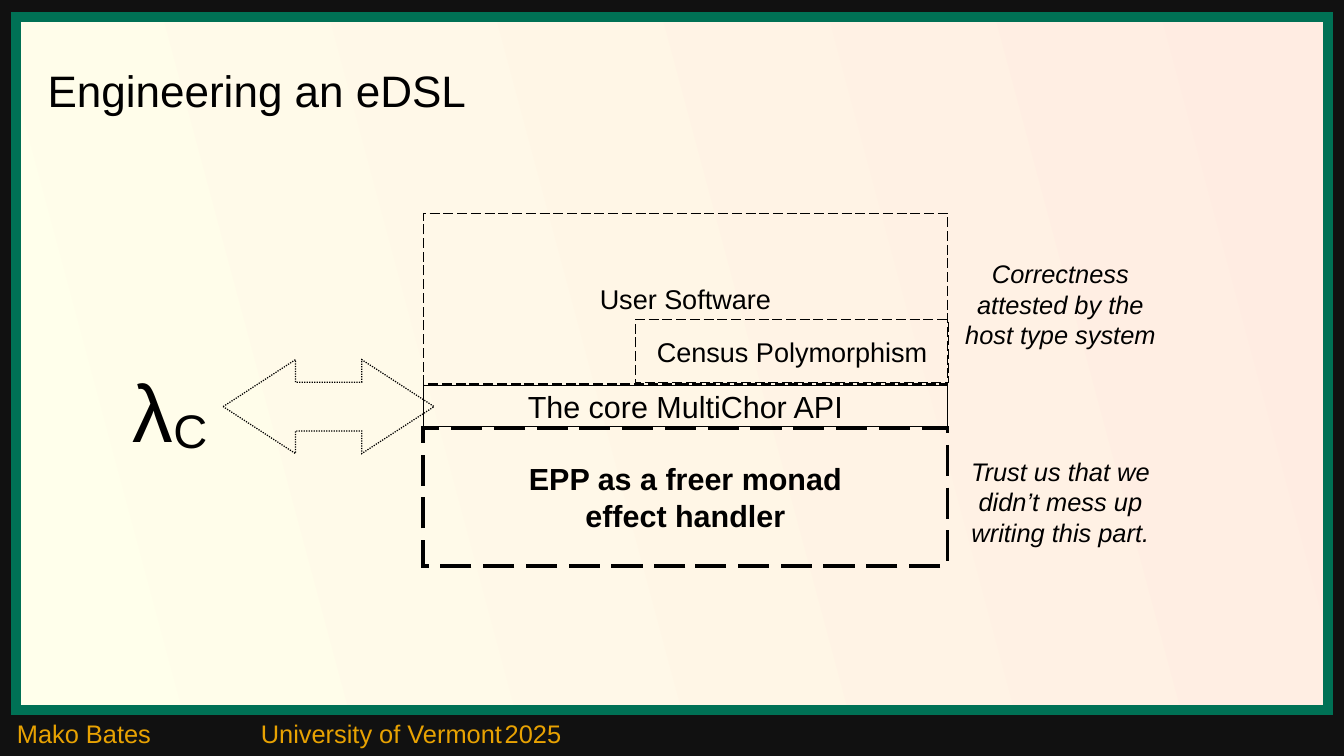
"""Build the slide on engineering an embedded choreography language."""
from dataclasses import dataclass

from lxml import etree
from pptx import Presentation
from pptx.dml.color import RGBColor
from pptx.enum.dml import MSO_LINE
from pptx.enum.shapes import MSO_SHAPE
from pptx.enum.text import MSO_ANCHOR, PP_ALIGN
from pptx.oxml.ns import qn
from pptx.shapes.autoshape import Shape
from pptx.slide import Slide
from pptx.util import Inches, Pt

RECTANGLE = MSO_SHAPE.RECTANGLE
DOUBLE_ARROW = MSO_SHAPE.LEFT_RIGHT_ARROW
LONG_DASH = MSO_LINE.LONG_DASH
DOTS = MSO_LINE.ROUND_DOT
MIDDLE = MSO_ANCHOR.MIDDLE
TOP = MSO_ANCHOR.TOP
CENTER = PP_ALIGN.CENTER
LEFT = PP_ALIGN.LEFT


@dataclass(frozen=True)
class Theme:
    font: str = "Arial"
    ink: RGBColor = RGBColor(0x00, 0x00, 0x00)
    surround: RGBColor = RGBColor(0x11, 0x11, 0x11)
    frame: RGBColor = RGBColor(0x00, 0x71, 0x55)
    footer: RGBColor = RGBColor(0xE8, 0xA2, 0x02)
    panel_start: RGBColor = RGBColor(0xFF, 0xFF, 0xEB)
    panel_end: RGBColor = RGBColor(0xFF, 0xEC, 0xE2)
    title_size: float = 26
    symbol_size: float = 48
    layer_size: float = 18
    software_size: float = 16
    note_size: float = 15
    hairline: float = 0
    heavy_line: float = 2.3
    frame_line: float = 6


THEME = Theme()


@dataclass(frozen=True)
class Box:
    left: float
    top: float
    width: float
    height: float


@dataclass(frozen=True)
class Label:
    lines: tuple[str, ...]
    size: float
    color: RGBColor = THEME.ink
    align: PP_ALIGN = CENTER
    anchor: MSO_ANCHOR = TOP
    bold: bool = False
    italic: bool = False
    wrap: bool = True
    margin_x: float = 0.1
    margin_y: float = 0.05


@dataclass(frozen=True)
class Layer:
    box: Box
    label: Label
    line_width: float = THEME.hairline
    dash: MSO_LINE | None = LONG_DASH


STACK_LEFT, STACK_WIDTH = 3.47, 4.3
NOTE_LEFT, NOTE_WIDTH, NOTE_HEIGHT = 7.8, 1.79, 0.79
FOOTER_TABS = (2, 4)


def layer_label(*lines: str, size: float, bold: bool = False) -> Label:
    return Label(lines, size, anchor=MIDDLE, bold=bold, wrap=False)


def note_label(text: str) -> Label:
    return Label((text,), THEME.note_size, italic=True)


LAYERS = (
    Layer(Box(STACK_LEFT, 3.16, STACK_WIDTH, 0.34),
          layer_label("The core MultiChor API", size=THEME.layer_size), dash=None),
    Layer(Box(STACK_LEFT, 3.51, STACK_WIDTH, 1.13),
          layer_label("EPP as a freer monad", "effect handler", size=THEME.layer_size, bold=True),
          THEME.heavy_line),
    Layer(Box(STACK_LEFT, 1.75, STACK_WIDTH, 1.4),
          layer_label("User Software", size=THEME.software_size)),
    Layer(Box(5.21, 2.62, 2.57, 0.52),
          layer_label("Census Polymorphism", size=THEME.software_size)),
)
NOTES = (
    (2.07, "Correctness attested by the host type system"),
    (3.69, "Trust us that we didn’t mess up writing this part."),
)


def write_label(shape: Shape, label: Label) -> None:
    frame = shape.text_frame
    frame.word_wrap = label.wrap
    frame.vertical_anchor = label.anchor
    frame.margin_left = frame.margin_right = Inches(label.margin_x)
    frame.margin_top = frame.margin_bottom = Inches(label.margin_y)
    frame.text = "\n".join(label.lines)
    for paragraph in frame.paragraphs:
        paragraph.alignment = label.align
        font = paragraph.font
        font.name = THEME.font
        font.size = Pt(label.size)
        font.bold = label.bold
        font.italic = label.italic
        font.color.rgb = label.color


def add_label(slide: Slide, box: Box, label: Label) -> Shape:
    shape = slide.shapes.add_textbox(
        Inches(box.left), Inches(box.top), Inches(box.width), Inches(box.height))
    write_label(shape, label)
    return shape


def add_outline(slide: Slide, kind: MSO_SHAPE, box: Box, color: RGBColor,
                width: float, dash: MSO_LINE | None = None) -> Shape:
    shape = slide.shapes.add_shape(
        kind, Inches(box.left), Inches(box.top), Inches(box.width), Inches(box.height))
    shape.shadow.inherit = False
    shape.fill.background()
    shape.line.color.rgb = color
    shape.line.width = Pt(width)
    if dash is not None:
        shape.line.dash_style = dash
    line = shape.line._get_or_add_ln()
    etree.SubElement(line, qn("a:miter"), lim="800000")
    return shape


def add_panel(slide: Slide) -> None:
    panel = add_outline(slide, RECTANGLE, Box(0.13, 0.14, 10.76, 5.68),
                        THEME.frame, THEME.frame_line)
    panel.fill.gradient()
    panel.fill.gradient_angle = 15
    colors = (THEME.panel_start, THEME.panel_end)
    for stop, color in zip(panel.fill.gradient_stops, colors):
        stop.color.rgb = color


def add_footer(slide: Slide) -> None:
    footer = add_label(slide, Box(0.04, 5.84, 11.02, 0.38), Label(
        ("",), THEME.note_size, THEME.footer, LEFT))
    paragraph = footer.text_frame.paragraphs[0]
    tabs = etree.Element(qn("a:tabLst"))
    for position in FOOTER_TABS:
        etree.SubElement(tabs, qn("a:tab"), pos=str(Inches(position)), algn="l")
    paragraph._p.get_or_add_pPr().insert(0, tabs)
    paragraph.add_run().text = "Mako Bates\tUniversity of Vermont\t2025"


def add_calculus(slide: Slide) -> None:
    symbol = add_label(slide, Box(0.99, 2.91, 0.83, 1.59), Label(
        ("λ",), THEME.symbol_size, align=LEFT, wrap=False))
    subscript = symbol.text_frame.paragraphs[0].add_run()
    subscript.text = "C"
    subscript.font._element.set("baseline", "-8000")
    arrow = add_outline(slide, DOUBLE_ARROW, Box(1.83, 2.95, 1.73, 0.77),
                        THEME.ink, THEME.hairline, DOTS)
    arrow.adjustments[0] = 0.52
    arrow.adjustments[1] = 0.77


def main() -> None:
    presentation = Presentation()
    presentation.slide_width = Inches(11.02)
    presentation.slide_height = Inches(6.2)
    slide = presentation.slides.add_slide(presentation.slide_layouts[6])
    slide.background.fill.solid()
    slide.background.fill.fore_color.rgb = THEME.surround

    add_panel(slide)
    add_footer(slide)
    add_label(slide, Box(0.39, 0.4, 10.22, 0.68), Label(
        ("Engineering an eDSL",), THEME.title_size, align=LEFT, anchor=MIDDLE,
        margin_x=0, margin_y=0))
    for layer in LAYERS:
        shape = add_outline(slide, RECTANGLE, layer.box, THEME.ink,
                            layer.line_width, layer.dash)
        write_label(shape, layer.label)
    add_calculus(slide)
    for top, text in NOTES:
        add_label(slide, Box(NOTE_LEFT, top, NOTE_WIDTH, NOTE_HEIGHT), note_label(text))
    presentation.save("out.pptx")


if __name__ == "__main__":
    main()
